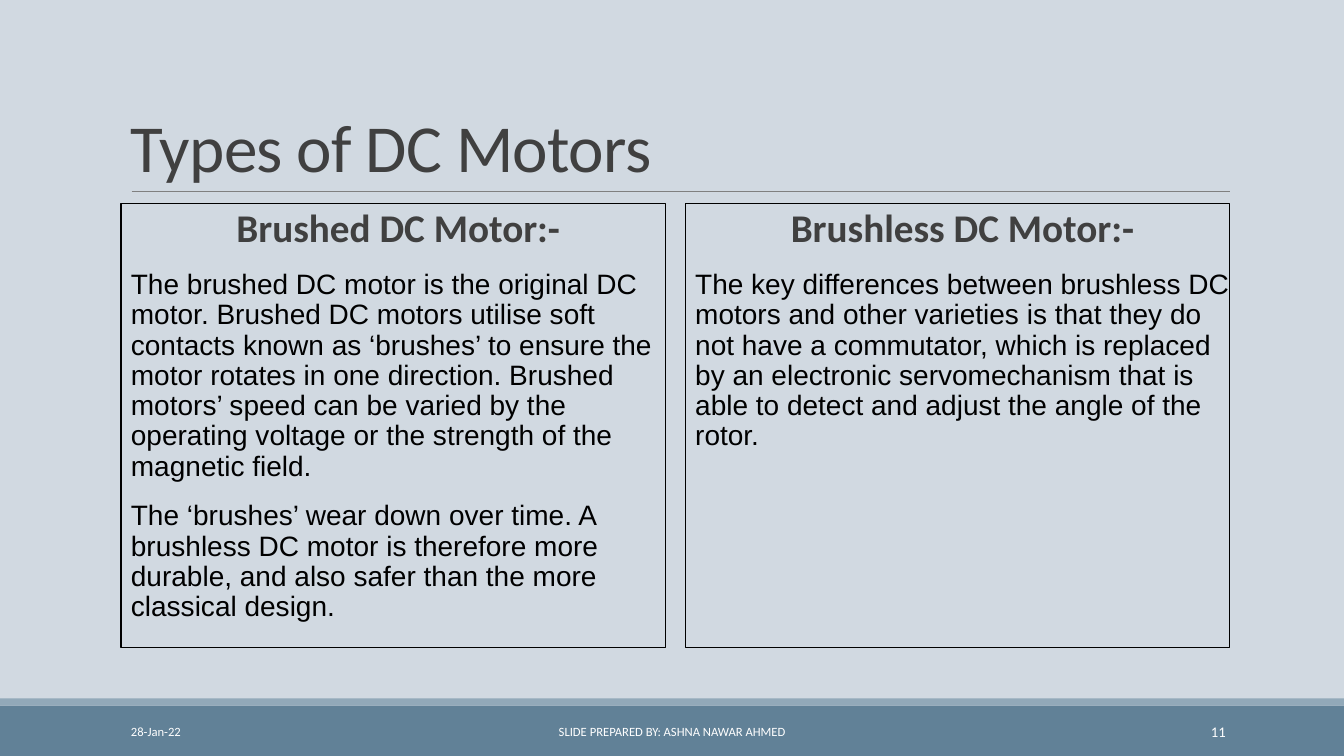
"""Build the slide comparing brushed and brushless DC motors."""
import lxml.etree
import pptx
import pptx.dml.color
import pptx.enum.shapes
import pptx.enum.text
import pptx.oxml.ns
import pptx.util

Cm = pptx.util.Cm
Pt = pptx.util.Pt
RGBColor = pptx.dml.color.RGBColor
ALIGN = pptx.enum.text.PP_ALIGN
ANCHOR = pptx.enum.text.MSO_ANCHOR
RECTANGLE = pptx.enum.shapes.MSO_SHAPE.RECTANGLE

BACKGROUND = RGBColor(0xD1, 0xD9, 0xE1)
FOOTER_BLUE = RGBColor(0x61, 0x81, 0x97)
STRIPE_BLUE = RGBColor(0x92, 0xA9, 0xB9)
RULE_GREY = RGBColor(0x80, 0x80, 0x80)
HEADING_GREY = RGBColor(0x40, 0x40, 0x40)
BLACK = RGBColor(0, 0, 0)
WHITE = RGBColor(0xFF, 0xFF, 0xFF)


def style(paragraph, font_name, size, color, align=ALIGN.LEFT, bold=False):
    paragraph.alignment = align
    for run in paragraph.runs:
        run.font.name = font_name
        run.font.size = Pt(size)
        run.font.bold = bold
        run.font.color.rgb = color


def add_label(text, left, top, width, height, anchor):
    frame = slide.shapes.add_textbox(Cm(left), Cm(top), Cm(width), Cm(height)).text_frame
    frame.word_wrap = True
    frame.vertical_anchor = anchor
    frame.text = text
    return frame.paragraphs[0]


deck = pptx.Presentation()
deck.slide_width = Cm(33.87)
deck.slide_height = Cm(19.05)
slide = deck.slides.add_slide(deck.slide_layouts[6])
slide.background.fill.solid()
slide.background.fill.fore_color.rgb = BACKGROUND

for top, height, color in [(17.78, 1.27, FOOTER_BLUE), (17.6, 0.18, STRIPE_BLUE)]:
    band = slide.shapes.add_shape(RECTANGLE, 0, Cm(top), deck.slide_width, Cm(height))
    band.shadow.inherit = False
    band.fill.solid()
    band.fill.fore_color.rgb = color
    band.line.fill.background()

title_rule = slide.shapes.add_connector(
    pptx.enum.shapes.MSO_CONNECTOR.STRAIGHT, Cm(3.32), Cm(4.82), Cm(31), Cm(4.82))
title_rule.line.color.rgb = RULE_GREY
title_rule.line.width = Pt(0.5)
lxml.etree.SubElement(title_rule._element.spPr, pptx.oxml.ns.qn("a:effectLst"))

title = add_label("Types of DC Motors", 3.05, 0.79, 27.94, 4.04, ANCHOR.BOTTOM)
title.line_spacing = 0.85
style(title, "Calibri", 48, HEADING_GREY)
title.runs[0]._r.get_or_add_rPr().set("spc", "-50")

motors = [
    ("Brushed DC Motor:-", [
        "The brushed DC motor is the original DC motor. Brushed DC motors utilise soft "
        "contacts known as ‘brushes’ to ensure the motor rotates in one direction. Brushed "
        "motors’ speed can be varied by the operating voltage or the strength of the "
        "magnetic field.",
        "The ‘brushes’ wear down over time. A brushless DC motor is therefore more durable, "
        "and also safer than the more classical design.",
    ]),
    ("Brushless DC Motor:-", [
        "The key differences between brushless DC motors and other varieties is that they do "
        "not have a commutator, which is replaced by an electronic servomechanism that is "
        "able to detect and adjust the angle of the rotor.",
    ]),
]
for column, (heading, descriptions) in enumerate(motors):
    panel = slide.shapes.add_shape(
        RECTANGLE, Cm(3.05 + 14.22 * column), Cm(5.13), Cm(13.72), Cm(11.18))
    panel.shadow.inherit = False
    panel.fill.background()
    panel.line.color.rgb = BLACK
    panel.line.width = Pt(0.75)
    frame = panel.text_frame
    frame.word_wrap = True
    frame.vertical_anchor = ANCHOR.TOP
    frame.margin_left = Cm(0.25)
    frame.margin_right = 0
    frame.text = heading
    style(frame.paragraphs[0], "Calibri", 28, HEADING_GREY, ALIGN.CENTER, True)
    for description in descriptions:
        paragraph = frame.add_paragraph()
        paragraph.text = description
        paragraph.space_before = Pt(12)
        style(paragraph, "Arial", 20, BLACK)
    for paragraph in frame.paragraphs:
        paragraph.line_spacing = 0.9
        paragraph.space_after = Pt(2)

footer = [
    ("28-Jan-22", 3.05, 6.86, 9, ALIGN.LEFT),
    ("SLIDE PREPARED BY: ASHNA NAWAR AHMED", 10.24, 13.39, 9, ALIGN.CENTER),
    ("11", 27.51, 3.63, 10.5, ALIGN.RIGHT),
]
for text, left, width, size, align in footer:
    note = add_label(text, left, 17.93, width, 1.02, ANCHOR.MIDDLE)
    style(note, "Calibri", size, WHITE, align)

deck.save("out.pptx")
